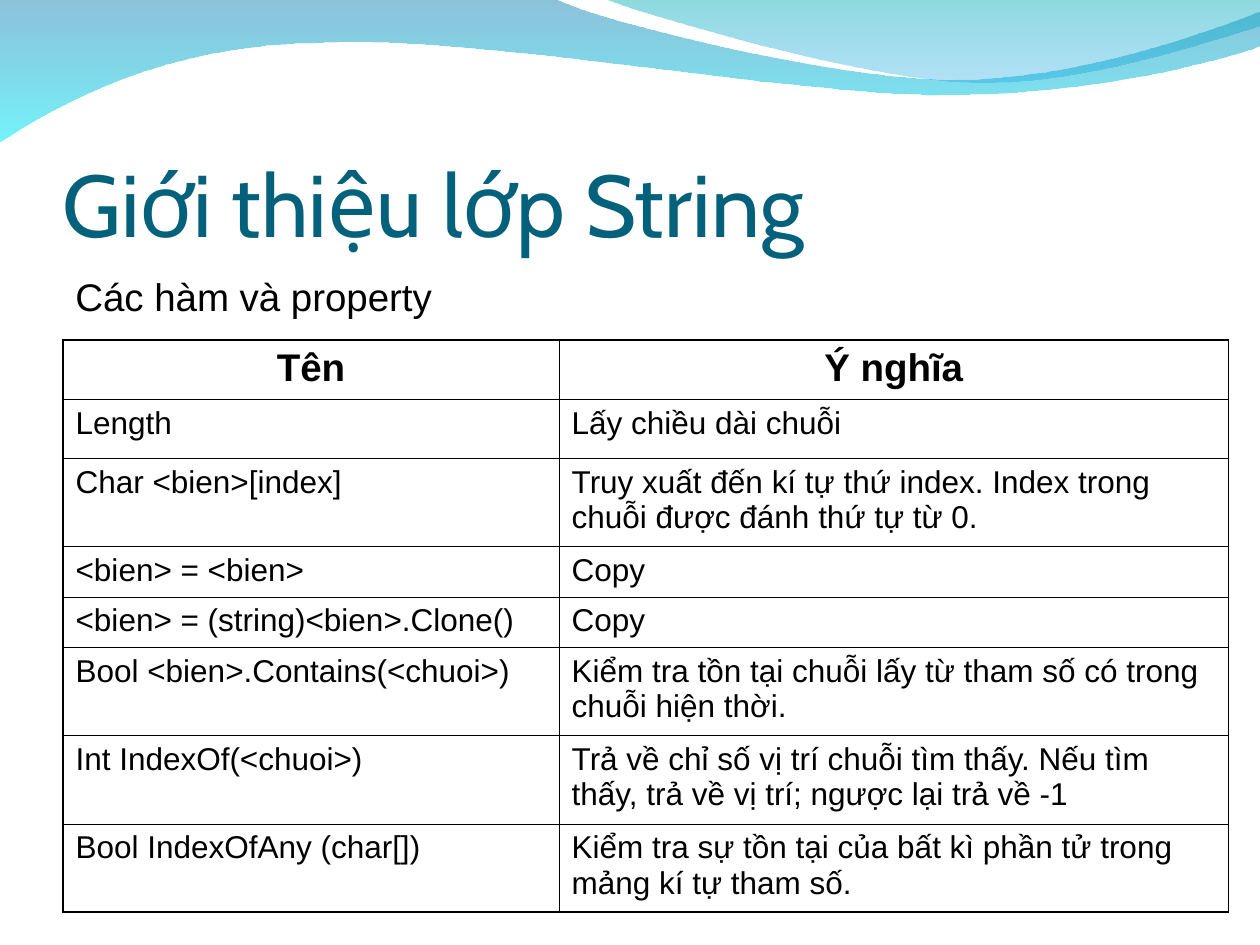
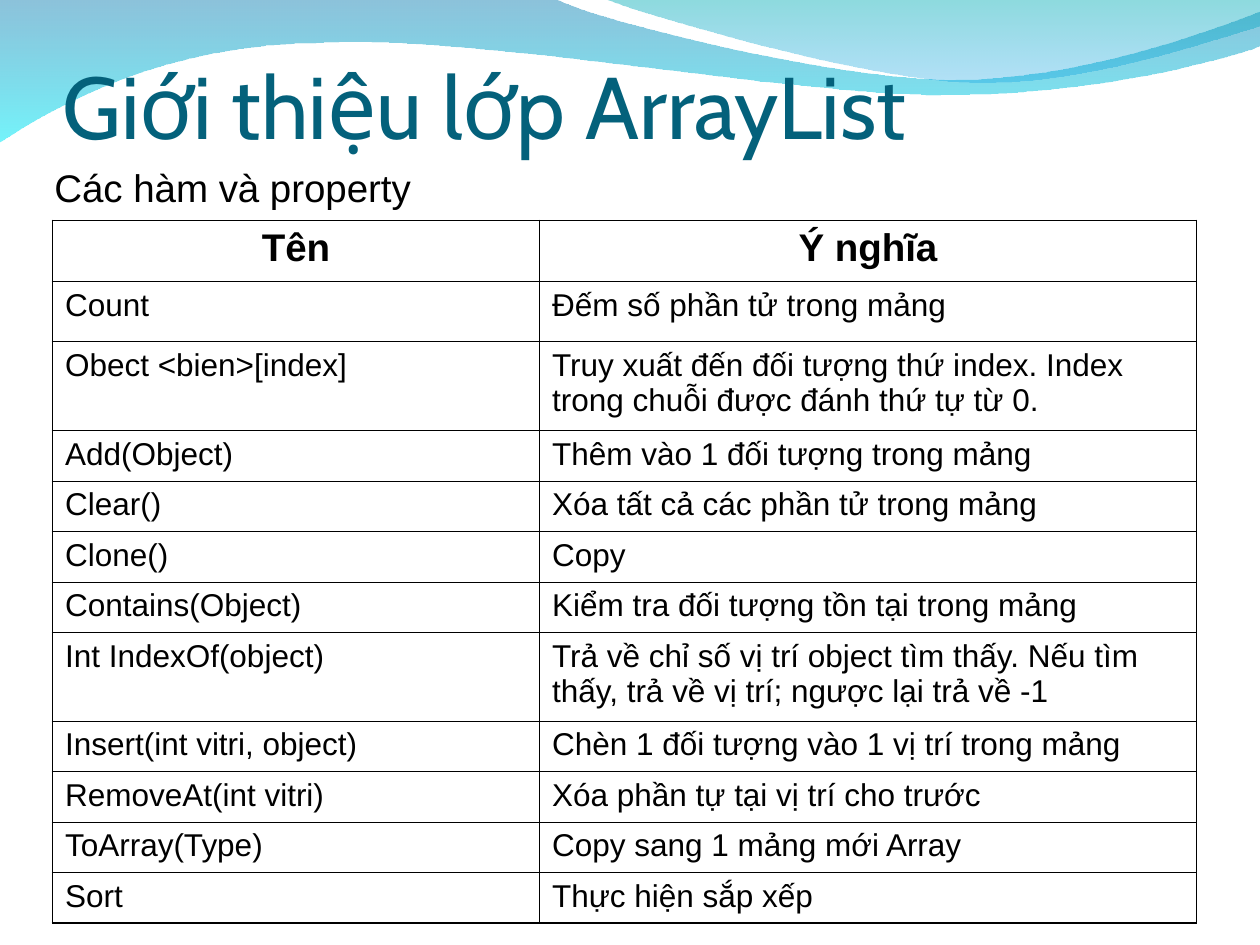
"""Builds two slides on the members of the String and ArrayList classes."""
from lxml import etree
from pptx import Presentation
from pptx.dml.color import RGBColor
from pptx.enum.text import MSO_ANCHOR, PP_ALIGN
from pptx.oxml.ns import qn
from pptx.util import Inches, Pt

BOTTOM, TOP = MSO_ANCHOR.BOTTOM, MSO_ANCHOR.TOP
LEFT, CENTER = PP_ALIGN.LEFT, PP_ALIGN.CENTER

COLORS = {
    "title": "04617B", "text": "000000", "border": "000000",
    "wave_top": "0079AF", "wave_bottom": "00EBF8",
    "crest_top": "00ADB6", "crest_bottom": "009BE5",
}
TITLE = {"size": Pt(50), "name": "Cabin", "bold": False}
BODY = {"size": Pt(22), "name": "Arial", "bold": False}
HEADER = {**BODY, "bold": True}
CELL = {**BODY, "size": Pt(18)}
OUTER, INNER = Pt(1.08), Pt(0.45)
HANGING = Inches(0.3)
NAME_SHARE = 0.43 - 0.43 / 100
LINE_CHARS = 45
SINGLE_ROW, DOUBLE_ROW = 0.4, 0.7

# Each segment holds one end point, or two control points and an end point.
WAVE = [
    [(0, -0.01)], [(4.4, -0.01)],
    [(4.76, 0.17), (6.64, 0.63), (7.58, 0.63)],
    [(8.53, 0.63), (9.58, 0.26), (10, 0.09)],
    [(10.01, 0.36)],
    [(9.83, 0.44), (8.7, 0.76), (7.46, 0.75)],
    [(6.22, 0.75), (3.82, 0.28), (2.57, 0.34)],
    [(1.29, 0.35), (0.46, 0.83), (-0.01, 1.13)],
    [(0, -0.01)],
]
CREST = [
    [(4.79, -0.01)],
    [(5.09, 0.11), (6.82, 0.62), (7.69, 0.65)],
    [(8.56, 0.69), (9.61, 0.32), (10, 0.21)],
    [(10, 0)], [(4.79, -0.01)],
]

COLUMN_TITLES = ("Tên", "Ý nghĩa")
STRING_MEMBERS = [
    ("Length", "Lấy chiều dài chuỗi"),
    ("Char <bien>[index]",
     "Truy xuất đến kí tự thứ index. Index trong chuỗi được đánh thứ tự từ 0."),
    ("<bien> = <bien>", "Copy"),
    ("<bien> = (string)<bien>.Clone()", "Copy"),
    ("Bool <bien>.Contains(<chuoi>)",
     "Kiểm tra tồn tại chuỗi lấy từ tham số có trong chuỗi hiện thời."),
    ("Int IndexOf(<chuoi>)",
     "Trả về chỉ số vị trí chuỗi tìm thấy. Nếu tìm thấy, trả về vị trí; "
     "ngược lại trả về -1"),
    ("Bool IndexOfAny (char[])",
     "Kiểm tra sự tồn tại của bất kì phần tử trong mảng kí tự tham số."),
]
ARRAYLIST_MEMBERS = [
    ("Count", "Đếm số phần tử trong mảng"),
    ("Obect <bien>[index]",
     "Truy xuất đến đối tượng thứ index. Index trong chuỗi được đánh thứ tự từ 0."),
    ("Add(Object)", "Thêm vào 1 đối tượng trong mảng"),
    ("Clear()", "Xóa tất cả các phần tử trong mảng"),
    ("Clone()", "Copy"),
    ("Contains(Object)", "Kiểm tra đối tượng tồn tại trong mảng"),
    ("Int IndexOf(object)",
     "Trả về chỉ số vị trí object tìm thấy. Nếu tìm thấy, trả về vị trí; "
     "ngược lại trả về -1"),
    ("Insert(int vitri, object)", "Chèn 1 đối tượng vào 1 vị trí trong mảng"),
    ("RemoveAt(int vitri)", "Xóa phần tự tại vị trí cho trước"),
    ("ToArray(Type)", "Copy sang 1 mảng mới Array"),
    ("Sort", "Thực hiện sắp xếp"),
]


def rgb(key):
    """Return the named colour."""
    return RGBColor.from_string(COLORS[key])


def bend(sp, segments):
    """Join the three lines of each curved segment into one Bézier curve."""
    lines = iter(list(sp._element.iter(qn("a:lnTo"))))
    for segment in segments[1:]:
        group = [next(lines) for _ in segment]
        if len(group) == 3:
            curve = etree.Element(qn("a:cubicBezTo"))
            group[0].addprevious(curve)
            for line in group:
                curve.append(line[0])
                line.getparent().remove(line)


def add_wave(slide, segments, stops):
    """Add a curved outline with a see-through vertical gradient."""
    points = [(Inches(x), Inches(y)) for segment in segments for x, y in segment]
    builder = slide.shapes.build_freeform(*points[0])
    builder.add_line_segments(points[1:], close=True)
    sp = builder.convert_to_shape()
    bend(sp, segments)
    sp.shadow.inherit = False
    sp.line.fill.background()
    sp.fill.gradient()
    sp.fill.gradient_angle = 270
    for stop, (key, _) in zip(sp.fill.gradient_stops, stops):
        stop.color.rgb = rgb(key)
    for color, (_, opacity) in zip(sp._element.spPr.iter(qn("a:srgbClr")), stops):
        etree.SubElement(color, qn("a:alpha"), val=str(opacity * 1000))


def write(tf, text, font, color="text", align=LEFT, before=0, hanging=0):
    """Write one formatted paragraph."""
    p = tf.paragraphs[0]
    p.alignment, p.space_before = align, Pt(before)
    if hanging:
        pPr = p._p.get_or_add_pPr()
        pPr.set("marL", str(hanging))
        pPr.set("indent", str(-hanging))
    r = p.add_run()
    r.text = text
    for name, value in font.items():
        setattr(r.font, name, value)
    r.font.color.rgb = rgb(color)


def add_text(slide, box, text, font, insets, anchor=TOP, **style):
    """Add a wrapped text box; insets run left, top, right, bottom."""
    tf = slide.shapes.add_textbox(*map(Inches, box)).text_frame
    tf.word_wrap, tf.vertical_anchor = True, anchor
    for side, inset in zip(("left", "top", "right", "bottom"), insets):
        setattr(tf, f"margin_{side}", Inches(inset))
    write(tf, text, font, **style)


def set_borders(cell, widths):
    """Draw the cell borders in the order left, right, top, bottom."""
    tcPr = cell._tc.get_or_add_tcPr()
    for i, (side, width) in enumerate(zip("LRTB", widths)):
        ln = etree.Element(qn(f"a:ln{side}"), w=str(width))
        fill = etree.SubElement(ln, qn("a:solidFill"))
        etree.SubElement(fill, qn("a:srgbClr"), val=COLORS["border"])
        tcPr.insert(i, ln)


def add_member_table(slide, box, header_height, members):
    """Add the table of members, with a heavier outer border."""
    left, top, width, height = box
    rows = [COLUMN_TITLES, *members]
    heights = [header_height] * 2 + [
        DOUBLE_ROW if len(meaning) > LINE_CHARS else SINGLE_ROW
        for _, meaning in members[1:]]
    stretch = height / sum(heights)
    table = slide.shapes.add_table(len(rows), 2, *map(Inches, box)).table
    table.first_row = table.horz_banding = False
    for column, share in zip(table.columns, (NAME_SHARE, 1 - NAME_SHARE)):
        column.width = Inches(width * share)
    for i, (row, row_height) in enumerate(zip(rows, heights)):
        table.rows[i].height = Inches(row_height * stretch)
        for j, text in enumerate(row):
            cell = table.cell(i, j)
            cell.fill.background()
            edges = (j == 0, j == len(row) - 1, i == 0, i == len(rows) - 1)
            set_borders(cell, [OUTER if edge else INNER for edge in edges])
            if i == 0:
                write(cell.text_frame, text, HEADER, align=CENTER, before=5.5)
            else:
                write(cell.text_frame, text, CELL, before=4.5)


def add_class_slide(prs, class_name, title_top, body_box, table):
    """Add a slide with the waves, the title, the subtitle and the table."""
    slide = prs.slides.add_slide(prs.slide_layouts[6])
    add_wave(slide, WAVE, [("wave_top", 45), ("wave_bottom", 55)])
    add_wave(slide, CREST, [("crest_top", 45), ("crest_bottom", 30)])
    add_text(slide, (0.5, title_top, 9, 1.25), f"Giới thiệu lớp {class_name}", TITLE,
             (0, 0.05, 0, 0), BOTTOM, color="title")
    add_text(slide, body_box, "Các hàm và property", BODY,
             (0.1, 0.05, 0.1, 0.05), before=5.5, hanging=HANGING)
    add_member_table(slide, *table)


def main():
    """Build and save the slides."""
    prs = Presentation()
    prs.slide_width, prs.slide_height = Inches(10), Inches(7.5)
    add_class_slide(prs, "String", 0.77, (0.5, 2.12, 4.42, 4.8),
                    ((0.5, 2.7, 9.25, 4.53), 0.47, STRING_MEMBERS))
    add_class_slide(prs, "ArrayList", 0, (1 / 3, 1.25, 4.42, 0.58),
                    ((5 / 12, 1.75, 9.08, 5.58), 0.48, ARRAYLIST_MEMBERS))
    prs.save("out.pptx")


if __name__ == "__main__":
    main()
